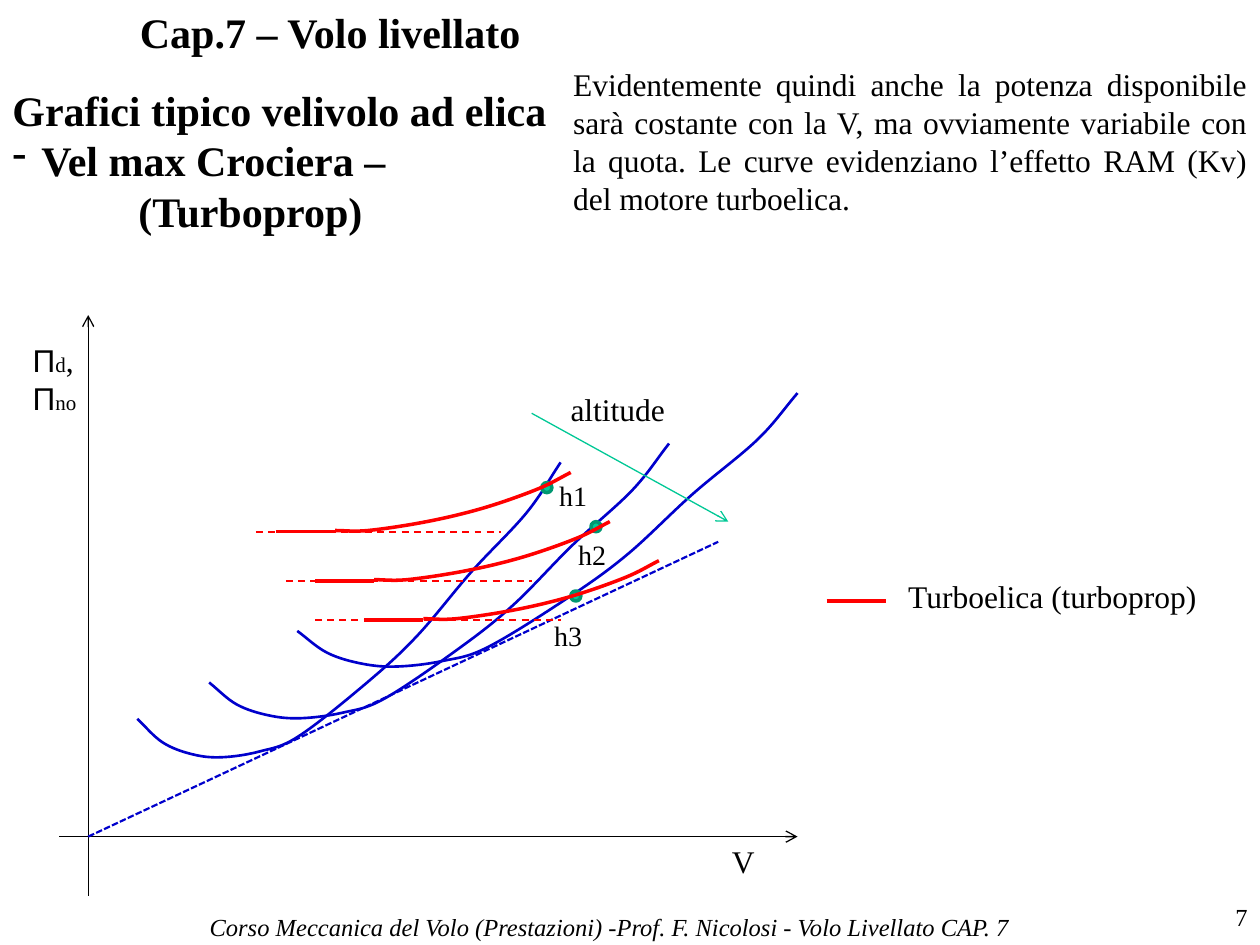
from typing import NamedTuple

from lxml import etree
from pptx import Presentation
from pptx.dml.color import RGBColor
from pptx.enum.dml import MSO_LINE
from pptx.enum.shapes import MSO_CONNECTOR, MSO_SHAPE
from pptx.enum.text import MSO_ANCHOR, PP_ALIGN
from pptx.oxml.ns import qn
from pptx.util import Inches, Pt

LEFT, MID, RIGHT, BOTH = PP_ALIGN.LEFT, PP_ALIGN.CENTER, PP_ALIGN.RIGHT, PP_ALIGN.JUSTIFY
DASH, DOTS = MSO_LINE.DASH, MSO_LINE.SQUARE_DOT
SERIF, SANS = "Times New Roman", "Arial"
COLS, ROWS = 100, 75  # square cells, a tenth of an inch each
CELL = Inches(0.1)
INK = {"text": "000000", "need": "0000CC", "power": "FF0000",
       "dot": "00CC99", "rim": "009771", "arrow": "00C896"}

Point = tuple[float, float]

# Knots as shares of the curve's box
NEED = [(0, .87), (.06, .95), (.13, .99), (.2, 1), (.29, .98), (.38, .93),
        (.54, .75), (.66, .59), (.79, .37), (.92, .17), (1, 0)]
POWER = [(0, .98), (.14, .98), (.39, .83), (.63, .6), (.86, .28), (1, 0)]


class Box(NamedTuple):
    left: float
    top: float
    wide: float
    high: float


class Label(NamedTuple):
    text: str
    box: Box
    size: int = 18
    align: PP_ALIGN = LEFT
    wrap: bool = False
    bold: bool = False
    italic: bool = False
    anchor: MSO_ANCHOR = MSO_ANCHOR.TOP


class Line(NamedTuple):
    start: Point
    end: Point
    ink: str
    width: float
    dash: MSO_LINE | None = None
    arrow: bool = False


class Level(NamedTuple):
    """One altitude: its needed power curve, its available power and their crossing."""
    name: str
    tag: Point
    need: Box
    dot: Point
    knee: Point
    dash: float


LEVELS = [
    Level("h1", (43.4, 37.5), Box(10.9, 36.7, 33.6, 23.4), (43.4, 38.7), (26.6, 42.2), 20.3),
    Level("h2", (44.9, 42.2), Box(16.6, 35.2, 36.5, 21.8), (47.3, 41.8), (29.7, 46.1), 22.7),
    Level("h3", (43, 48.6), Box(23.6, 31.2, 39.7, 21.7), (45.7, 47.3), (33.6, 49.2), 25),
]
LABELS = [
    Label("Cap.7 – Volo livellato", Box(0, 0, 52.4, 5), 24, MID, True, True,
          anchor=MSO_ANCHOR.MIDDLE),
    Label("7", Box(79.2, 71.1, 20.8, 3.9), 14, RIGHT, True),
    Label("Corso Meccanica del Volo (Prestazioni) -Prof. F. Nicolosi - Volo Livellato CAP. 7",
          Box(14.8, 71.9, 67.2, 3.1), 14, MID, True, italic=True),
    Label("Evidentemente quindi anche la potenza disponibile sarà costante con la V, "
          "ma ovviamente variabile con la quota. Le curve evidenziano l’effetto RAM (Kv) "
          "del motore turboelica.", Box(44.5, 4.7, 55.5, 13.1), align=BOTH, wrap=True),
    Label("altitude", Box(44.3, 30.5, 9.6, 4)),
    Label("V", Box(57.1, 66.3, 3.8, 4)),
    Label("Turboelica (turboprop)", Box(71.1, 45.3, 25.1, 4)),
]
LINES = [
    Line((4.7, 66.4), (63.3, 66.4), "text", .75, arrow=True),
    Line((7, 71.1), (7, 25), "text", .75, arrow=True),
    Line((42.2, 32.8), (57.8, 41.4), "arrow", .75, arrow=True),
    Line((7, 66.4), (57, 43), "need", 1.25, DOTS),
    Line((65.6, 47.7), (70.3, 47.7), "power", 2),
]


def span(*cells: float) -> list[int]:
    return [round(cell * CELL) for cell in cells]


def tint(name: str) -> RGBColor:
    return RGBColor.from_string(INK[name])


def style(font, size: int, face: str = SERIF) -> None:
    font.name, font.size = face, Pt(size)
    font.color.rgb = tint("text")


def add_box(shapes, box: Box, wrap: bool):
    frame = shapes.add_textbox(*span(*box)).text_frame
    frame.word_wrap = wrap
    return frame


def add_label(shapes, label: Label) -> None:
    frame = add_box(shapes, label.box, label.wrap)
    frame.vertical_anchor = label.anchor
    para = frame.paragraphs[0]
    para.text, para.alignment = label.text, label.align
    style(para.font, label.size)
    para.font.bold, para.font.italic = label.bold, label.italic


def add_topic(shapes) -> None:
    """Heading whose bullet takes its size from the run, so fonts are set on runs."""
    frame = add_box(shapes, Box(0, 6.2, 44.8, 13.1), False)
    frame.text = "Grafici tipico velivolo ad elica\nVel max Crociera –\n\t(Turboprop)"
    bullet, tabbed = [para._p.get_or_add_pPr() for para in frame.paragraphs[1:]]
    hang = Inches(0.23)
    bullet.set("marL", str(hang))
    bullet.set("indent", str(-hang))
    etree.SubElement(bullet, qn("a:buFontTx"))
    etree.SubElement(bullet, qn("a:buChar"), char="-")
    tabs = etree.SubElement(tabbed, qn("a:tabLst"))
    etree.SubElement(tabs, qn("a:tab"), pos=str(Inches(1)), algn="l")
    for para in frame.paragraphs:
        for run in para.runs:
            style(run.font, 24)
            run.font.bold = True


def add_axis_name(shapes) -> None:
    frame = add_box(shapes, Box(1.6, 26.6, 6.1, 7.1), False)
    rows = [[("Π", 18, SANS), ("d", 12, SERIF), (",", 18, SERIF)],
            [("Π", 18, SANS), ("no", 12, SERIF)]]
    for para, row in zip([frame.paragraphs[0], frame.add_paragraph()], rows):
        for text, size, face in row:
            run = para.add_run()
            run.text = text
            style(run.font, size, face)


def add_line(shapes, line: Line) -> None:
    link = shapes.add_connector(MSO_CONNECTOR.STRAIGHT, *span(*line.start, *line.end))
    link.line.color.rgb, link.line.width = tint(line.ink), Pt(line.width)
    if line.dash:
        link.line.dash_style = line.dash
    if line.arrow:
        etree.SubElement(link.line._get_or_add_ln(), qn("a:tailEnd"), type="arrow")
    etree.SubElement(link._element.spPr, qn("a:effectLst"))


def bend(curve) -> None:
    """Turn the straight pieces of a freeform into a smooth spline through its points."""
    knots = [(int(pt.get("x")), int(pt.get("y"))) for pt in curve._element.iter(qn("a:pt"))]

    def beyond(end: Point, near: Point) -> Point:
        return 2 * end[0] - near[0], 2 * end[1] - near[1]

    ring = [beyond(knots[0], knots[1]), *knots, beyond(knots[-1], knots[-2])]
    pieces = list(curve._element.iter(qn("a:lnTo")))
    for piece, a, b, c, d in zip(pieces, ring, ring[1:], ring[2:], ring[3:]):
        piece.tag = qn("a:cubicBezTo")
        first = [round(q + (r - p) / 6) for p, q, r in zip(a, b, c)]
        second = [round(q - (r - p) / 6) for p, q, r in zip(b, c, d)]
        for spot, (x, y) in enumerate((first, second)):
            piece.insert(spot, etree.Element(qn("a:pt"), x=str(x), y=str(y)))


def add_curve(shapes, knots: list[Point], box: Box, ink: str, width: float) -> None:
    points = [span(box.left + x * box.wide, box.top + y * box.high) for x, y in knots]
    pen = shapes.build_freeform(*points[0])
    pen.add_line_segments(points[1:], close=False)
    curve = pen.convert_to_shape()
    bend(curve)
    curve.shadow.inherit = False
    curve.fill.background()
    curve.line.color.rgb, curve.line.width = tint(ink), Pt(width)


def add_dot(shapes, centre: Point) -> None:
    size = .8
    x, y = centre
    dot = shapes.add_shape(MSO_SHAPE.OVAL, *span(x - size / 2, y - size / 2, size, size))
    dot.shadow.inherit = False
    dot.fill.solid()
    dot.fill.fore_color.rgb = tint("dot")
    dot.line.color.rgb, dot.line.width = tint("rim"), Pt(2)


def add_power(shapes, level: Level) -> None:
    x, y = level.knee
    add_curve(shapes, POWER, Box(x, y - 4.7, 18.7, 4.7), "power", 2)
    add_line(shapes, Line((x - 4.7, y), level.knee, "power", 2))
    add_line(shapes, Line((level.dash, y), (level.dash + 19.5, y), "power", 1, DASH))


def main() -> None:
    deck = Presentation()
    deck.slide_width, deck.slide_height = span(COLS, ROWS)
    shapes = deck.slides.add_slide(deck.slide_layouts[6]).shapes
    add_topic(shapes)
    add_axis_name(shapes)
    for level in LEVELS:
        add_curve(shapes, NEED, level.need, "need", 1.5)
    for level in LEVELS:
        add_dot(shapes, level.dot)
    tags = [Label(level.name, Box(*level.tag, 4.3, 3.7), 16) for level in LEVELS]
    for label in LABELS + tags:
        add_label(shapes, label)
    for line in LINES:
        add_line(shapes, line)
    for level in LEVELS:
        add_power(shapes, level)
    deck.save("out.pptx")


if __name__ == "__main__":
    main()
